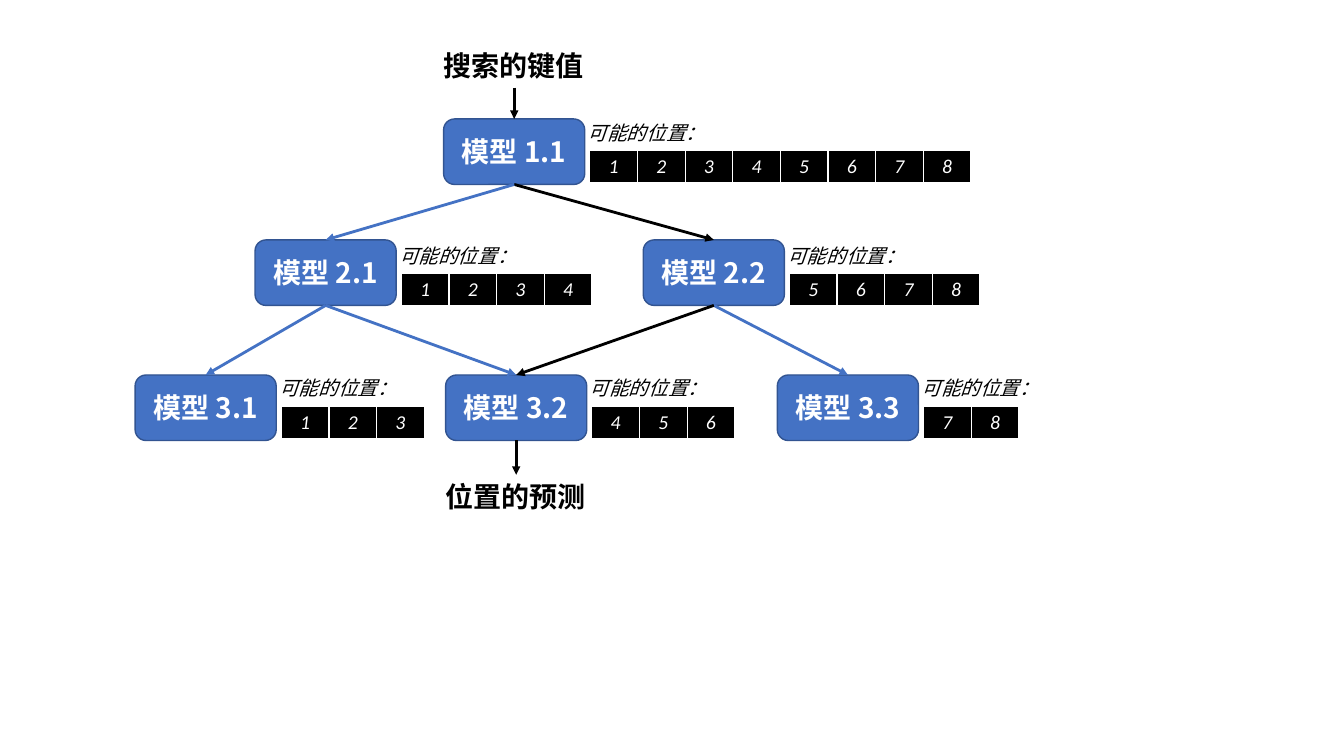
from dataclasses import dataclass

from lxml import etree
from pptx import Presentation
from pptx.dml.color import RGBColor
from pptx.enum.shapes import MSO_CONNECTOR, MSO_SHAPE
from pptx.enum.text import MSO_ANCHOR, MSO_AUTO_SIZE, PP_ALIGN
from pptx.oxml.ns import qn
from pptx.util import Inches, Pt

STRAIGHT = MSO_CONNECTOR.STRAIGHT
ROUNDED = MSO_SHAPE.ROUNDED_RECTANGLE
MIDDLE = MSO_ANCHOR.MIDDLE
GROW = MSO_AUTO_SIZE.SHAPE_TO_FIT_TEXT
LEFT, CENTER = PP_ALIGN.LEFT, PP_ALIGN.CENTER


@dataclass(frozen=True)
class Theme:
    blue: RGBColor = RGBColor(0x44, 0x72, 0xC4)
    outline: RGBColor = RGBColor(0x32, 0x54, 0x91)
    black: RGBColor = RGBColor(0, 0, 0)
    white: RGBColor = RGBColor(255, 255, 255)
    chinese: str = "Noto Sans CJK SC"
    digits: str = "Calibri"
    heading: Pt = Pt(20)
    small: Pt = Pt(14)


theme = Theme()


def write(frame, text, size, color, font, align=CENTER, bold=False):
    """Fill a text frame with one line: bold heading or italic note."""
    paragraph = frame.paragraphs[0]
    paragraph.text = text
    paragraph.alignment = align
    paragraph.font.size = size
    paragraph.font.name = font
    paragraph.font.color.rgb = color
    paragraph.font.bold = bold
    paragraph.font.italic = not bold
    defaults = paragraph._p.pPr.find(qn("a:defRPr"))
    etree.SubElement(defaults, qn("a:ea"), typeface=font)


def add_arrow(start, end, color):
    arrow = slide.shapes.add_connector(
        STRAIGHT, *(Inches(value) for value in start + end))
    arrow.line.color.rgb = color
    arrow.line.width = Pt(2)
    etree.SubElement(arrow.line._get_or_add_ln(), qn("a:tailEnd"), type="triangle")
    etree.SubElement(arrow._element.spPr, qn("a:effectLst"))


prs = Presentation()
prs.slide_width, prs.slide_height = Inches(13.33), Inches(7.5)
slide = prs.slides.add_slide(prs.slide_layouts[6])

# Layout: each level gives the tops of its models, position tables and labels
model_width, model_height = 1.4, 0.65
table_offset, label_offset = 1.45, 1.33
cell_width, cell_height = Inches(3.78) // 8, Inches(0.33)
level_tops = {1: (1.18, 1.49, 1.15), 2: (2.38, 2.71, 2.37), 3: (3.72, 4.03, 3.68)}

# Model number: left edge, first and last possible position
models = {
    "1.1": (4.4, 1, 8),
    "2.1": (2.53, 1, 4),
    "2.2": (6.38, 5, 8),
    "3.1": (1.34, 1, 3),
    "3.2": (4.42, 4, 6),
    "3.3": (7.71, 7, 8),
}
border_widths = {"a:lnL": 1, "a:lnR": 1, "a:lnT": 1, "a:lnB": 3}
entries, exits = {}, {}
captions = []

for number, (left, first, last) in models.items():
    model_top, table_top, label_top = level_tops[int(number[0])]
    entries[number] = (left + model_width / 2, model_top)
    exits[number] = (left + model_width / 2, model_top + model_height)
    captions.append(("可能的位置：", left + label_offset, label_top, 0.34,
                     theme.small, LEFT, False))

    # Model box
    model = slide.shapes.add_shape(
        ROUNDED, Inches(left), Inches(model_top),
        Inches(model_width), Inches(model_height))
    model.shadow.inherit = False
    model.fill.solid()
    model.fill.fore_color.rgb = theme.blue
    model.line.color.rgb = theme.outline
    model.line.width = Pt(1)
    model.text_frame.vertical_anchor = MIDDLE
    write(model.text_frame, f"模型 {number}", theme.heading, theme.white,
          theme.chinese, bold=True)

    # Possible positions
    count = last - first + 1
    positions = slide.shapes.add_table(
        1, count, Inches(left + table_offset), Inches(table_top),
        cell_width * count, cell_height).table
    for column, position in enumerate(range(first, last + 1)):
        positions.columns[column].width = cell_width
        cell = positions.cell(0, column)
        cell.vertical_anchor = MIDDLE
        cell.margin_top = cell.margin_bottom = Inches(0.03)
        write(cell.text_frame, str(position), theme.small, theme.white, theme.digits)
        properties = cell._tc.get_or_add_tcPr()
        for side, width in border_widths.items():
            border = etree.SubElement(properties, qn(side), w=str(Pt(width)))
            fill = etree.SubElement(border, qn("a:solidFill"))
            etree.SubElement(fill, qn("a:srgbClr"), val=str(theme.white))
        cell.fill.solid()
        cell.fill.fore_color.rgb = theme.black

# Links between models; the search path is black
links = [
    ("1.1", "2.2", theme.black),
    ("1.1", "2.1", theme.blue),
    ("2.2", "3.3", theme.blue),
    ("2.1", "3.2", theme.blue),
    ("2.2", "3.2", theme.black),
    ("2.1", "3.1", theme.blue),
]
for parent, child, color in links:
    add_arrow(exits[parent], entries[child], color)

# Search key going in and prediction coming out
key_x, key_y = entries["1.1"]
prediction_x, prediction_y = exits["3.2"]
add_arrow((key_x, 0.87), (key_x, key_y), theme.black)
add_arrow((prediction_x, prediction_y), (prediction_x, 4.71), theme.black)
captions += [
    ("搜索的键值", 4.27, 0.43, 0.44, theme.heading, CENTER, True),
    ("位置的预测", 4.29, 4.71, 0.44, theme.heading, CENTER, True),
]

# Captions
for text, left, top, height, size, align, bold in captions:
    caption = slide.shapes.add_textbox(
        Inches(left), Inches(top), Inches(1.65), Inches(height))
    caption.text_frame.word_wrap = True
    caption.text_frame.auto_size = GROW
    write(caption.text_frame, text, size, theme.black, theme.chinese, align, bold)

prs.save("out.pptx")
